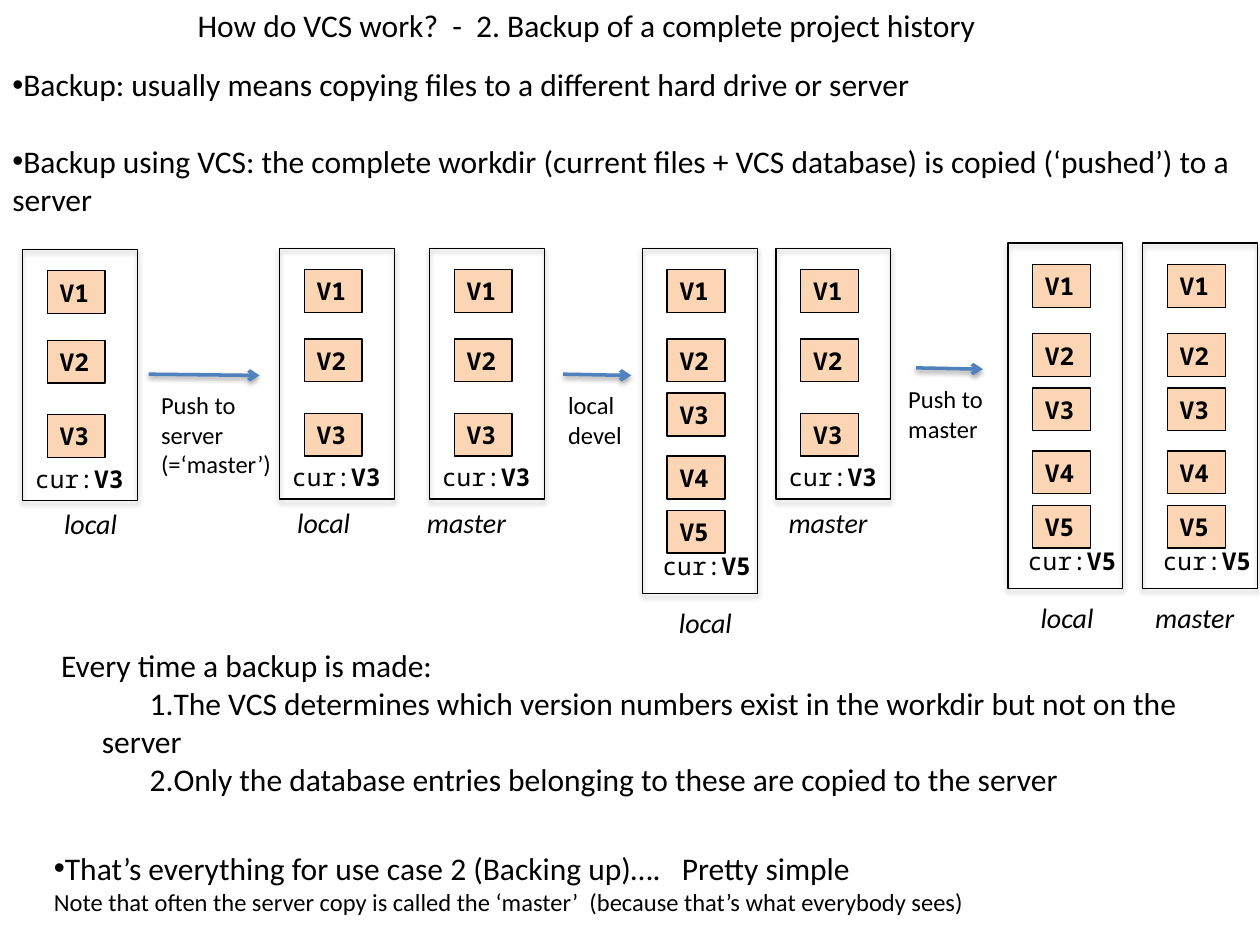
from lxml.etree import SubElement
from pptx import Presentation
from pptx.dml.color import RGBColor
from pptx.enum.shapes import MSO_CONNECTOR, MSO_SHAPE
from pptx.enum.text import MSO_ANCHOR, PP_ALIGN
from pptx.oxml.ns import qn
from pptx.util import Inches, Pt

COLORS = {"ink": "000000", "version": "FCD5B5", "arrow": "4F81BD"}
BODY = {"name": "Calibri", "size": Pt(18)}
NOTE = {"name": "Calibri", "size": Pt(14)}
CAPTION = {"name": "Calibri", "size": Pt(16), "italic": True}
CODE = {"name": "Noto Sans Mono", "size": Pt(14)}
CODE_BOLD = {**CODE, "bold": True}
BULLET = ("buChar", {"char": "•"})
NUMBER = ("buAutoNum", {"type": "arabicPeriod"})

# Grid of 100 columns by 75 rows on a 10 by 7.5 inch slide
CELL = Inches(0.1)
COLUMNS, ROWS = 100, 75

# Rows inside a repository frame, by its number of versions
LAYOUTS = {
    3: {"height": 19.9, "versions": [1.7, 7.2, 13.1],
        "current": (0, 16.5), "caption": 19.9},
    5: {"height": 27.4, "versions": [1.7, 7.2, 11.5, 16.5, 20.8],
        "current": (0.6, 23.55), "caption": 27.9},
}
FRAME_WIDTH = 9.1


def cells(*lengths):
    return [round(length * CELL) for length in lengths]


def color(name):
    return RGBColor.from_string(COLORS[name])


def write_runs(paragraph, runs):
    for text, formats in runs:
        for index, line in enumerate(text.split("\n")):
            if index:
                paragraph.add_line_break()
            run = paragraph.add_run()
            run.text = line
            for attribute, value in formats.items():
                setattr(run.font, attribute, value)
            run.font.color.rgb = color("ink")


def add_text(shapes, box, paragraphs):
    """Each paragraph is a dict of runs, bullet, indent and space before."""
    frame = shapes.add_textbox(*cells(*box)).text_frame
    frame.word_wrap = True
    for index, item in enumerate(paragraphs):
        paragraph = frame.add_paragraph() if index else frame.paragraphs[0]
        if "bullet" in item:
            tag, attributes = item["bullet"]
            properties = paragraph._p.get_or_add_pPr()
            for side in ("marL", "indent"):
                properties.set(side, str(Inches(item.get("indent", 0))))
            SubElement(properties, qn("a:buFont"), typeface="Arial" if tag == "buChar" else "+mj-lt")
            SubElement(properties, qn(f"a:{tag}"), attributes)
        if "before" in item:
            paragraph.space_before = Pt(item["before"])
        write_runs(paragraph, item["runs"])


def add_shadow(shape, opacity, distance):
    properties = shape._element.spPr
    effects = properties.find(qn("a:effectLst"))
    if effects is None:
        effects = SubElement(properties, qn("a:effectLst"))
    shadow = SubElement(effects, qn("a:outerShdw"), blurRad=str(Pt(3.1)),
                        dist=str(Pt(distance)), dir="5400000", rotWithShape="0")
    shade = SubElement(shadow, qn("a:srgbClr"), val=COLORS["ink"])
    SubElement(shade, qn("a:alpha"), val=str(opacity * 1000))


def add_rectangle(shapes, box):
    shape = shapes.add_shape(MSO_SHAPE.RECTANGLE, *cells(*box))
    shape.shadow.inherit = False
    shape.line.color.rgb = color("ink")
    shape.line.width = Pt(0.75)
    return shape


def add_repository(slide, left, top, count, caption, caption_shift):
    """A frame of stacked versions, its current version and a caption."""
    layout = LAYOUTS[count]
    shapes = slide.shapes.add_group_shape().shapes

    # Versions
    for number, row in enumerate(layout["versions"], start=1):
        version = add_rectangle(shapes, (left + 1.95, top + row, 4.6, 3.4))
        version.fill.solid()
        version.fill.fore_color.rgb = color("version")
        frame = version.text_frame
        frame.word_wrap = True
        frame.vertical_anchor = MSO_ANCHOR.MIDDLE
        frame.paragraphs[0].alignment = PP_ALIGN.LEFT
        write_runs(frame.paragraphs[0], [(f"V{number}", CODE_BOLD)])

    # Frame
    outline = add_rectangle(shapes, (left, top, FRAME_WIDTH, layout["height"]))
    outline.fill.background()
    add_shadow(outline, 35, 1.8)

    # Current version and caption
    column, row = layout["current"]
    add_text(shapes, (left + column, top + row, 16.9, 3.4),
             [{"runs": [("cur:", CODE), (f"V{count}", CODE_BOLD)]}])
    add_text(slide.shapes, (left + caption_shift, top + layout["caption"], 9.5, 3.7),
             [{"runs": [(caption, CAPTION)]}])


def add_step(slide, left, top, length, label, label_shift, label_width):
    """An arrow with a label below it."""
    arrow = slide.shapes.add_connector(
        MSO_CONNECTOR.STRAIGHT, *cells(left, top, left + length, top + 0.1))
    arrow.line.color.rgb = color("arrow")
    arrow.line.width = Pt(2)
    SubElement(arrow.line._get_or_add_ln(), qn("a:tailEnd"), type="arrow")
    add_shadow(arrow, 38, 1.6)
    add_text(slide.shapes, (left + label_shift, top + 0.8, label_width, 5.7),
             [{"runs": [(label, NOTE)]}])


def add_introduction(slide):
    add_text(slide.shapes, (14.7, 0, 68.4, 7.1), [
        {"runs": [("How do VCS work?  -  2. Backup of a complete project history", BODY)]}])
    add_text(slide.shapes, (0, 4.7, COLUMNS, 13.1), [
        {"bullet": BULLET, "runs": [(
            "Backup: usually means copying files to a different hard drive or server", BODY)]},
        {"bullet": BULLET, "before": 22, "runs": [(
            "Backup using VCS: the complete workdir (current files + VCS database) "
            "is copied (‘pushed’) to a server", BODY)]}])


def add_history(slide):
    for repository in [
        (1.8, 19.8, 3, "local", 2.3),
        (22.2, 19.7, 3, "local", 0.4),
        (34.1, 19.7, 3, "master", -1.2),
        (51, 19.7, 5, "local", 1.9),
        (61.6, 19.7, 3, "master", 0),
        (80, 19.3, 5, "local", 1.6),
        (90.7, 19.3, 5, "master", 0),
    ]:
        add_repository(slide, *repository)
    for step in [
        (11.8, 29.7, 8.8, "Push to server\n(=‘master’)", 0, 10.8),
        (44.7, 29.7, 5.4, "local devel", -0.6, 8.9),
        (72.7, 29.2, 5.3, "Push to master", -1.6, 8.9),
    ]:
        add_step(slide, *step)


def add_conclusion(slide):
    add_text(slide.shapes, (3.3, 50.8, 94.2, 13.1), [
        {"runs": [(" Every time a backup is made:", BODY)]},
        {"bullet": NUMBER, "indent": 0.38, "runs": [(
            "The VCS determines which version numbers exist in the workdir "
            "but not on the server", BODY)]},
        {"bullet": NUMBER, "indent": 0.38, "runs": [(
            "Only the database entries belonging to these are copied to the server", BODY)]}])
    add_text(slide.shapes, (3.3, 66.9, 96.4, 6.4), [
        {"bullet": BULLET, "runs": [(
            "That’s everything for use case 2 (Backing up)….   Pretty simple", BODY)]},
        {"runs": [("Note that often the server copy is called the ‘master’  "
                   "(because that’s what everybody sees)", NOTE)]}])


def main():
    presentation = Presentation()
    presentation.slide_width, presentation.slide_height = cells(COLUMNS, ROWS)
    slide = presentation.slides.add_slide(presentation.slide_layouts[6])
    add_introduction(slide)
    add_history(slide)
    add_conclusion(slide)
    presentation.save("out.pptx")


if __name__ == "__main__":
    main()
